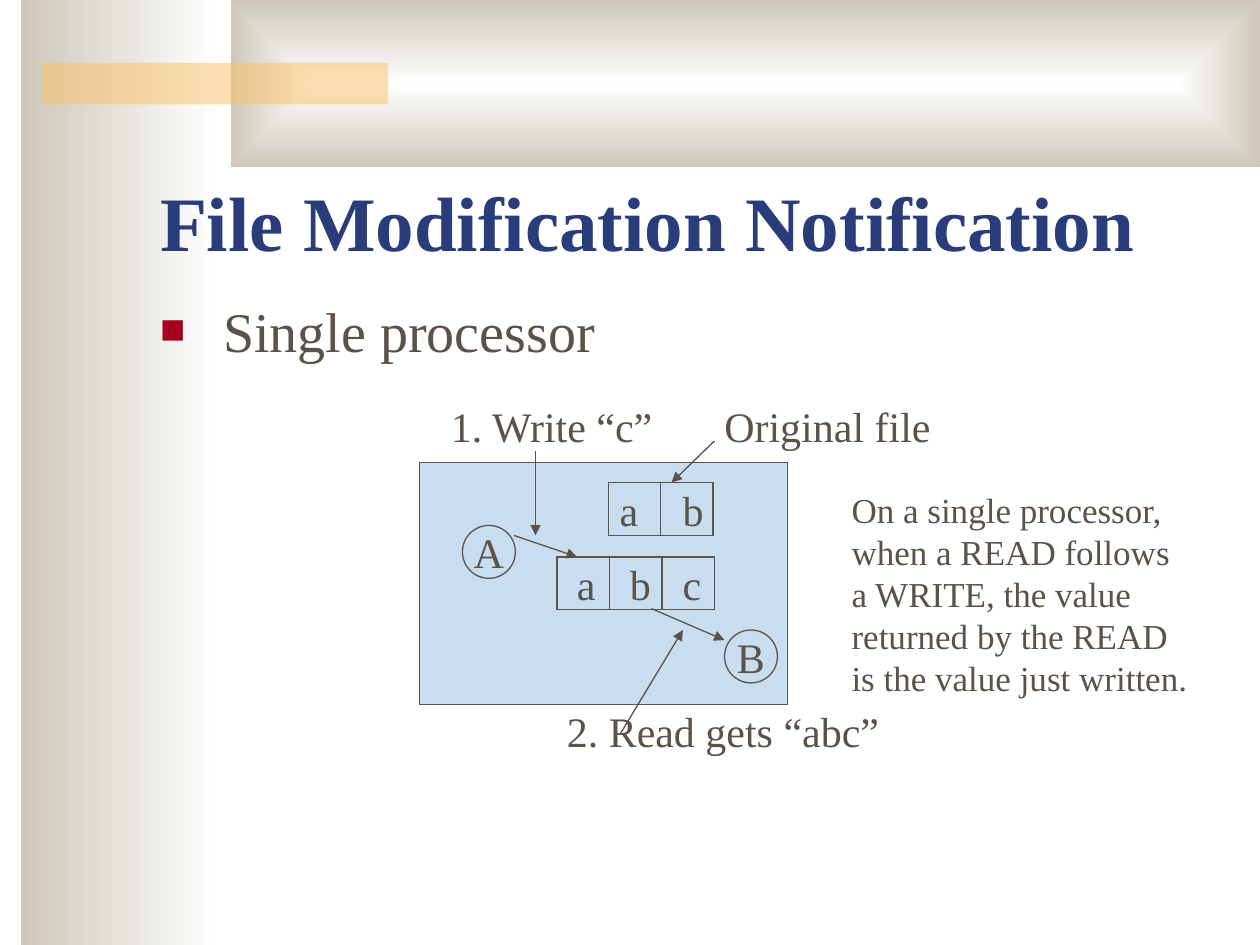
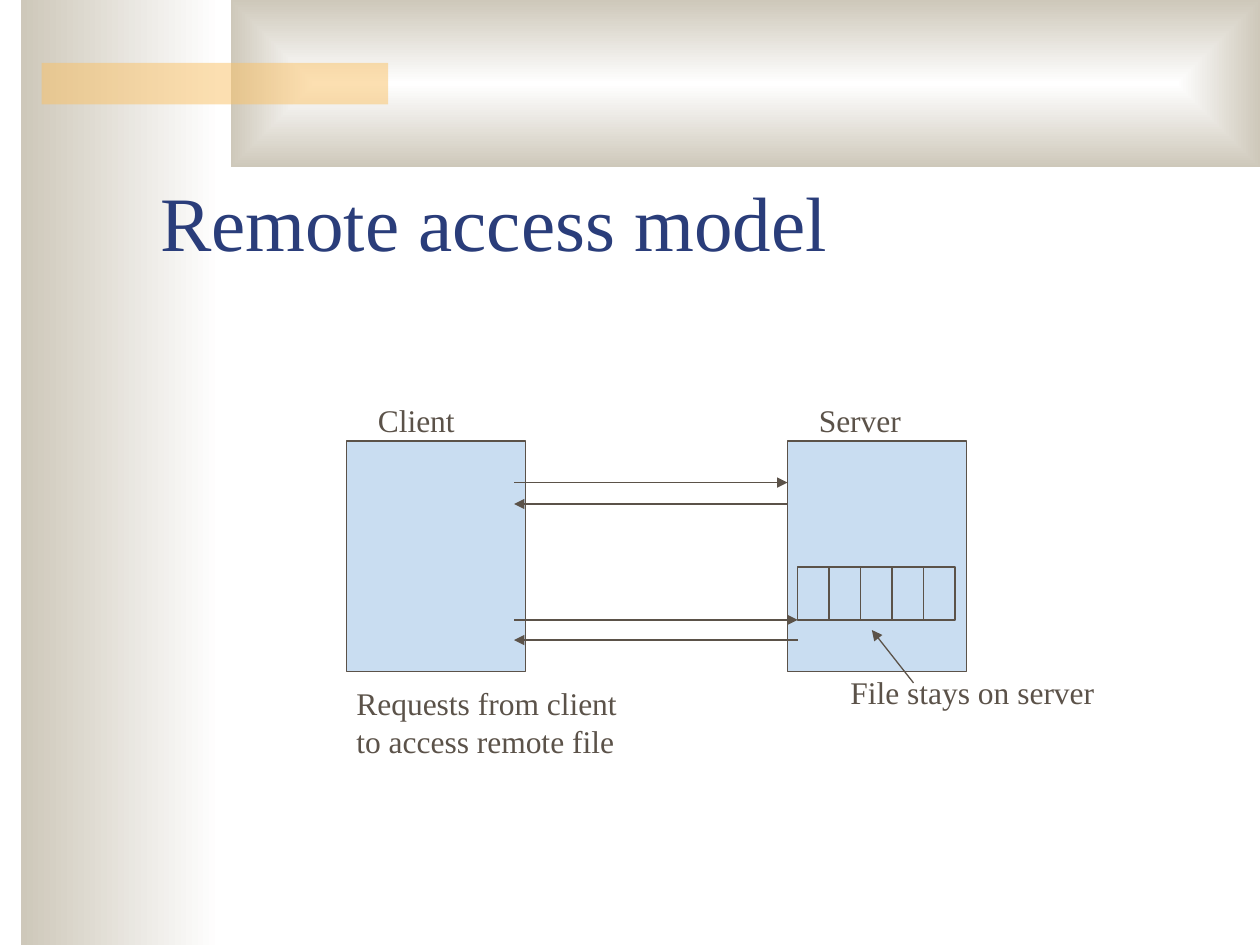
from dataclasses import dataclass

from pptx import Presentation
from pptx.dml.color import RGBColor
from pptx.enum.shapes import MSO_CONNECTOR as Link, MSO_SHAPE as Preset
from pptx.enum.text import MSO_ANCHOR as Anchor, MSO_AUTO_SIZE as Fit, PP_ALIGN as Align
from pptx.oxml.ns import qn
from pptx.util import Inches, Pt


@dataclass(frozen=True)
class Theme:
    font: str = "Times New Roman"
    ink: str = "5B5249"
    heading: str = "2A3D7A"
    bullet: str = "A50021"
    panel: str = "C9DDF1"
    band: str = "CEC8BA"
    band_light: str = "FFFFFF"
    accent: str = "FAC164"
    title_size: int = 44
    body_size: int = 32
    label_size: int = 24
    note_size: int = 20
    caption_size: int = 18
    line_width: float = 0.75


THEME = Theme()
CELL_HEIGHT = 0.42


def rgb(code):
    return RGBColor.from_string(code)


def apply_format(target, values):
    for attribute, value in values.items():
        setattr(target, attribute, value)


def add_child(parent, tag, **attributes):
    child = parent.makeelement(qn(tag), attributes)
    parent.append(child)
    return child


def place(shape, left, top, width, height):
    box = dict(left=left, top=top, width=width, height=height)
    apply_format(shape, {side: Inches(value) for side, value in box.items()})


def style_font(font, size, color=THEME.ink, bold=False):
    apply_format(font, dict(name=THEME.font, size=Pt(size), bold=bold))
    font.color.rgb = rgb(color)


def style_line(line):
    line.color.rgb = rgb(THEME.ink)
    line.width = Pt(THEME.line_width)


def add_plain(slide, preset, left, top, width, height):
    shape = slide.shapes.add_shape(preset, *map(Inches, (left, top, width, height)))
    shape.shadow.inherit = False
    return shape


def add_panel(slide, left, top, width, height, preset=Preset.RECTANGLE):
    panel = add_plain(slide, preset, left, top, width, height)
    panel.fill.solid()
    panel.fill.fore_color.rgb = rgb(THEME.panel)
    style_line(panel.line)
    return panel


def add_process(slide, name, left, top):
    process = add_panel(slide, left, top, CELL_HEIGHT, CELL_HEIGHT,
                        Preset.FLOWCHART_CONNECTOR)
    frame = process.text_frame
    frame.text = name
    apply_format(frame, dict(word_wrap=False, vertical_anchor=Anchor.MIDDLE))
    frame.paragraphs[0].alignment = Align.CENTER
    style_font(frame.paragraphs[0].font, THEME.label_size)


def add_line(slide, start, end, arrow=False):
    line = slide.shapes.add_connector(Link.STRAIGHT, *map(Inches, (*start, *end)))
    style_line(line.line)
    properties = line.element.spPr
    if arrow:
        add_child(properties.find(qn("a:ln")), "a:tailEnd", type="triangle")
    add_child(properties, "a:effectLst")


def add_label(slide, text, left, top, width, height, size):
    label = slide.shapes.add_textbox(*map(Inches, (left, top, width, height)))
    frame = label.text_frame
    frame.text = text
    apply_format(frame, dict(word_wrap=False, auto_size=Fit.SHAPE_TO_FIT_TEXT))
    for paragraph in frame.paragraphs:
        style_font(paragraph.font, size)


def add_file(slide, left, top, width, blocks):
    add_panel(slide, left, top, width, CELL_HEIGHT)
    for block in range(1, blocks):
        x = left + width * block / blocks
        add_line(slide, (x, top), (x, top + CELL_HEIGHT))


def add_letters(slide, letters, left, top, step):
    for position, letter in enumerate(letters):
        add_label(slide, letter, left + position * step, top, 0.36, 0.5,
                  THEME.label_size)


def set_title(slide, text, bold=False):
    title = slide.shapes.title
    place(title, 1.17, 0.92, 8.5, 1.25)
    frame = title.text_frame
    frame.text = text
    apply_format(frame, dict(vertical_anchor=Anchor.BOTTOM, auto_size=Fit.NONE))
    frame.paragraphs[0].alignment = Align.LEFT
    style_font(frame.paragraphs[0].font, THEME.title_size, THEME.heading, bold)


def set_bullet(slide, text):
    body = slide.placeholders[1]
    place(body, 1.17, 2.3, 8.5, 4.5)
    frame = body.text_frame
    frame.text = text
    frame.auto_size = Fit.NONE
    paragraph = frame.paragraphs[0]
    paragraph.space_before = Pt(0)
    properties = paragraph._p.get_or_add_pPr()
    for attribute, inches in dict(marL=0.5, indent=-0.5).items():
        properties.set(attribute, str(int(Inches(inches))))
    add_child(add_child(properties, "a:buClr"), "a:srgbClr", val=THEME.bullet)
    add_child(properties, "a:buSzPct", val="75000")
    add_child(properties, "a:buFont", typeface=THEME.font)
    add_child(properties, "a:buChar", char="■")
    style_font(paragraph.font, THEME.body_size)


def fade(band):
    band.fill.gradient()
    band.fill.gradient_angle = 180
    for stop, color in zip(band.fill.gradient_stops, (THEME.band_light, THEME.band)):
        stop.color.rgb = rgb(color)


def fade_to_edges(band):
    fade(band)
    gradient = band.element.spPr.find(qn("a:gradFill"))
    gradient.remove(gradient.find(qn("a:lin")))
    route = add_child(gradient, "a:path", path="rect")
    add_child(route, "a:fillToRect", **dict.fromkeys("ltrb", "50000"))


def tint(band):
    band.fill.solid()
    band.fill.fore_color.rgb = rgb(THEME.accent)
    color = band.element.spPr.find(qn("a:solidFill")).find(qn("a:srgbClr"))
    add_child(color, "a:alpha", val="50000")


def decorate_master(master, slide):
    bands = [
        ((0.17, 0, 1.58, 7.5), fade),
        ((1.83, 0, 8.17, 1.33), fade_to_edges),
        ((0.33, 0.5, 2.75, 0.33), tint),
    ]
    for order, (box, paint) in enumerate(bands):
        band = add_plain(slide, Preset.RECTANGLE, *box)
        band.line.fill.background()
        paint(band)
        band.element.nvSpPr.cNvPr.set("id", str(100 + order))
        master.shapes.element.insert(2 + order, band.element)


def build_notification(slide):
    set_title(slide, "File Modification Notification", bold=True)
    set_bullet(slide, "Single processor")
    add_panel(slide, 3.33, 3.67, 2.92, 1.92)
    add_process(slide, "A", 3.67, 4.17)
    add_process(slide, "B", 5.75, 5)
    add_file(slide, 4.83, 3.83, 0.83, 2)
    add_file(slide, 4.42, 4.42, 1.25, 3)
    add_letters(slide, "ab", 4.82, 3.8, 0.5)
    add_letters(slide, "abc", 4.48, 4.38, 0.42)
    arrows = [
        ((5.67, 3.5), (5.33, 3.83)),
        ((4.08, 4.25), (4.58, 4.42)),
        ((4.25, 3.58), (4.25, 4.25)),
        ((5.17, 4.83), (5.75, 5.08)),
        ((4.92, 5.83), (5.42, 5)),
    ]
    for start, end in arrows:
        add_line(slide, start, end, arrow=True)
    add_label(slide, "Original file", 5.65, 3.13, 1.84, 0.5, THEME.label_size)
    add_label(slide, "1. Write “c”", 3.48, 3.13, 1.82, 0.5, THEME.label_size)
    add_label(slide, "2. Read gets “abc”", 4.4, 5.55, 2.68, 0.5, THEME.label_size)
    explanation = ("On a single processor,\nwhen a READ follows\na WRITE, the value\n"
                   "returned by the READ\nis the value just written.")
    add_label(slide, explanation, 6.66, 3.83, 2.95, 1.77, THEME.note_size)


def build_remote_access(slide):
    set_title(slide, "Remote access model")
    for machine_left in (2.75, 6.25):
        add_panel(slide, machine_left, 3.5, 1.42, 1.83)
    add_file(slide, 6.33, 4.5, 1.25, 5)
    client_edge = 4.08
    for server_edge, request_y, reply_y in ((6.25, 3.83, 4), (6.33, 4.92, 5.08)):
        add_line(slide, (client_edge, request_y), (server_edge, request_y), arrow=True)
        add_line(slide, (server_edge, reply_y), (client_edge, reply_y), arrow=True)
    add_line(slide, (7.25, 5.42), (6.92, 5), arrow=True)
    captions = [
        ("Client", 2.9, 3.13, 0.85, 0.4),
        ("Server", 6.4, 3.13, 0.9, 0.4),
        ("Requests from client\nto access remote file", 2.73, 5.38, 2.35, 0.7),
        ("File stays on server", 6.65, 5.29, 2.22, 0.4),
    ]
    for caption in captions:
        add_label(slide, *caption, THEME.caption_size)


def main():
    deck = Presentation()
    apply_format(deck, dict(slide_width=Inches(10), slide_height=Inches(7.5)))
    notification = deck.slides.add_slide(deck.slide_layouts[1])
    remote_access = deck.slides.add_slide(deck.slide_layouts[5])
    decorate_master(deck.slide_master, notification)
    build_notification(notification)
    build_remote_access(remote_access)
    deck.save("out.pptx")


if __name__ == "__main__":
    main()
